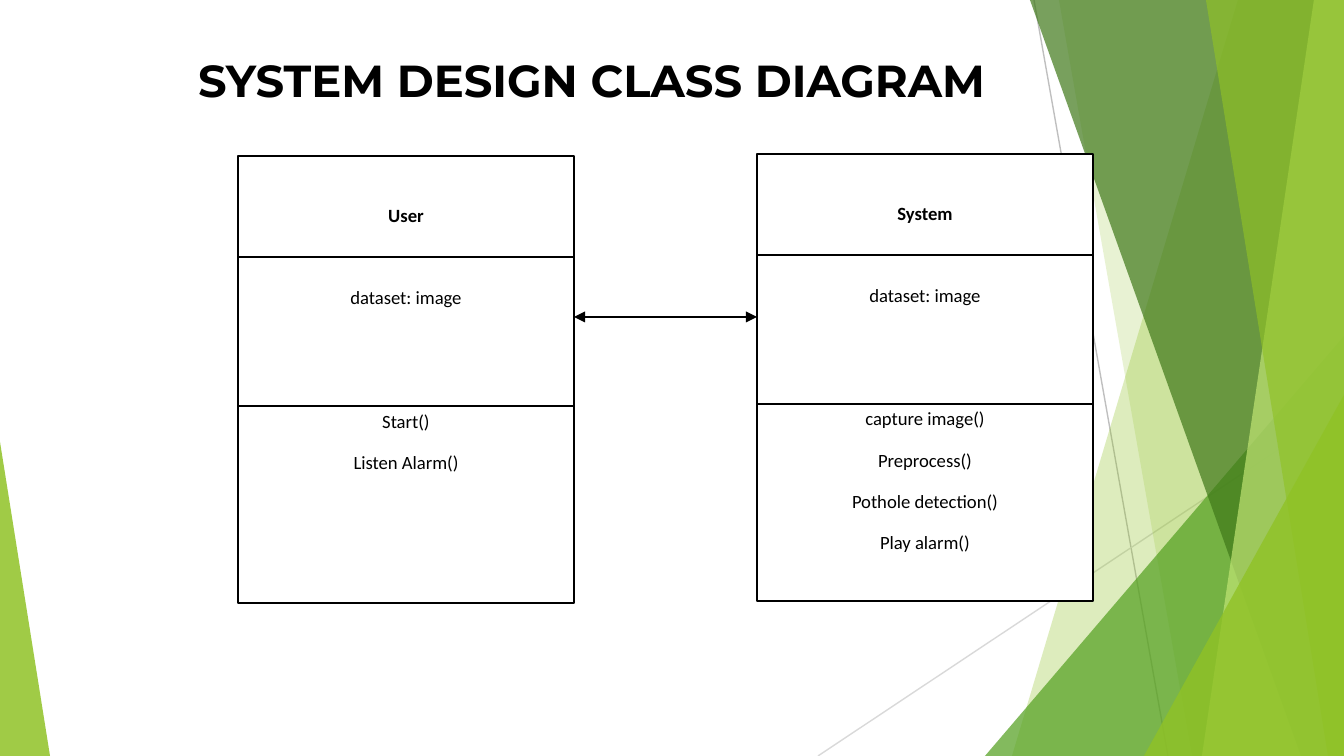
"""Build the class diagram slide for the user and the system."""
from dataclasses import dataclass

from pptx import Presentation
from pptx.dml.color import RGBColor
from pptx.enum.shapes import MSO_CONNECTOR, MSO_SHAPE
from pptx.enum.text import MSO_ANCHOR, MSO_AUTO_SIZE, PP_ALIGN
from pptx.oxml.ns import qn
from pptx.util import Emu, Pt
from lxml.etree import SubElement

SCALE = 914400 / 134.4
WIDTH, HEIGHT = 1344, 756


def px(n):
    return Emu(round(n * SCALE))


@dataclass(frozen=True)
class Theme:
    ink: str = "000000"
    paper: str = "FFFFFF"
    lime: str = "90C226"
    pale: str = "C0E474"
    green: str = "54A021"
    forest: str = "3F7819"
    grey: str = "BFBFBF"
    light_grey: str = "D9D9D9"
    title_font: str = "Montserrat"
    body_font: str = "Calibri"
    title_size: int = 24
    body_size: int = 10
    line_width: float = 0.75


class Deck:
    def __init__(self, theme):
        self.theme = theme
        self.prs = Presentation()
        self.prs.slide_width, self.prs.slide_height = px(WIDTH), px(HEIGHT)
        self.s = self.prs.slides.add_slide(self.prs.slide_layouts[5])

    def font(self, p, name, size, bold):
        p.font.name, p.font.size, p.font.bold = name, Pt(size), bold
        p.font.color.rgb = RGBColor.from_string(self.theme.ink)

    def title(self, text, x, y, w, h):
        sp = self.s.shapes.title
        sp.left, sp.top, sp.width, sp.height = map(px, (x, y, w, h))
        tf = sp.text_frame
        tf.text = text
        tf.word_wrap = True
        tf.auto_size = MSO_AUTO_SIZE.NONE
        tf.vertical_anchor = MSO_ANCHOR.TOP
        tf.margin_left = tf.margin_right = tf.margin_top = tf.margin_bottom = px(13)
        p = tf.paragraphs[0]
        p.alignment = PP_ALIGN.LEFT
        self.font(p, self.theme.title_font, self.theme.title_size, True)

    def line(self, x1, y1, x2, y2, color, arrows=False):
        c = self.s.shapes.add_connector(MSO_CONNECTOR.STRAIGHT, *map(px, (x1, y1, x2, y2)))
        c.line.color.rgb = RGBColor.from_string(color)
        c.line.width = Pt(self.theme.line_width)
        if arrows:
            for end in ("a:headEnd", "a:tailEnd"):
                SubElement(c.line._get_or_add_ln(), qn(end), type="triangle")
        SubElement(c._element.spPr, qn("a:effectLst"))

    def tint(self, sp, color, alpha):
        sp.shadow.inherit = False
        sp.fill.solid()
        sp.fill.fore_color.rgb = RGBColor.from_string(color)
        sp.line.fill.background()
        clr = sp._element.spPr.find(qn("a:solidFill"))[0]
        SubElement(clr, qn("a:alpha"), val=str(alpha * 1000))

    def facet(self, top_x, bottom_x, color, alpha):
        fb = self.s.shapes.build_freeform(top_x, 0, SCALE)
        fb.add_line_segments([(WIDTH, 0), (WIDTH, HEIGHT), (bottom_x, HEIGHT)])
        self.tint(fb.convert_to_shape(), color, alpha)

    def corner(self, x, y, w, apex, color, alpha):
        sp = self.s.shapes.add_shape(
            MSO_SHAPE.ISOSCELES_TRIANGLE, *map(px, (x, y, w, HEIGHT - y)))
        sp.adjustments[0] = apex
        self.tint(sp, color, alpha)

    def class_box(self, x, y, name, attribute, methods):
        t, w, h = self.theme, 336, 447
        sp = self.s.shapes.add_shape(MSO_SHAPE.RECTANGLE, *map(px, (x, y, w, h)))
        sp.shadow.inherit = False
        sp.fill.solid()
        sp.fill.fore_color.rgb = RGBColor.from_string(t.paper)
        sp.line.color.rgb = RGBColor.from_string(t.ink)
        sp.line.width = Pt(t.line_width)
        tf = sp.text_frame
        tf.word_wrap = True
        tf.vertical_anchor = MSO_ANCHOR.TOP
        tf.margin_top = px(48)
        rows = [(name, 32), (attribute, 54)] + [(m, 10) for m in methods]
        for i, (text, after) in enumerate(rows):
            p = tf.add_paragraph() if i else tf.paragraphs[0]
            p.text = text
            p.alignment = PP_ALIGN.CENTER
            p.space_after = Pt(after)
            self.font(p, t.body_font, t.body_size, i == 0)
        for dy in (101, 250):
            self.line(x, y + dy, x + w, y + dy, t.ink)


def main():
    t = Theme()
    deck = Deck(t)
    deck.line(1034, 0, 1168, HEIGHT, t.grey)
    deck.line(WIDTH, 406, 818, HEIGHT, t.light_grey)
    deck.facet(1238, 1012, t.lime, 30)
    deck.facet(1059, 1192, t.lime, 20)
    deck.corner(985, 336, 359, 1, t.green, 72)
    deck.facet(1030, 1301, t.forest, 70)
    deck.facet(1314, 1202, t.pale, 70)
    deck.facet(1206, 1328, t.lime, 65)
    deck.corner(1144, 395, 200, 1, t.lime, 80)
    deck.corner(0, 442, 50, 0, t.lime, 85)
    deck.title("SYSTEM DESIGN CLASS DIAGRAM", 185, 40, 1051, 82)
    deck.class_box(238, 156, "User", "dataset: image", ["Start()", "Listen Alarm()"])
    deck.class_box(757, 154, "System", "dataset: image",
                   ["capture image()", "Preprocess()", "Pothole detection()", "Play alarm()"])
    deck.line(574, 317, 757, 317, t.ink, arrows=True)
    deck.prs.save("out.pptx")


if __name__ == "__main__":
    main()
